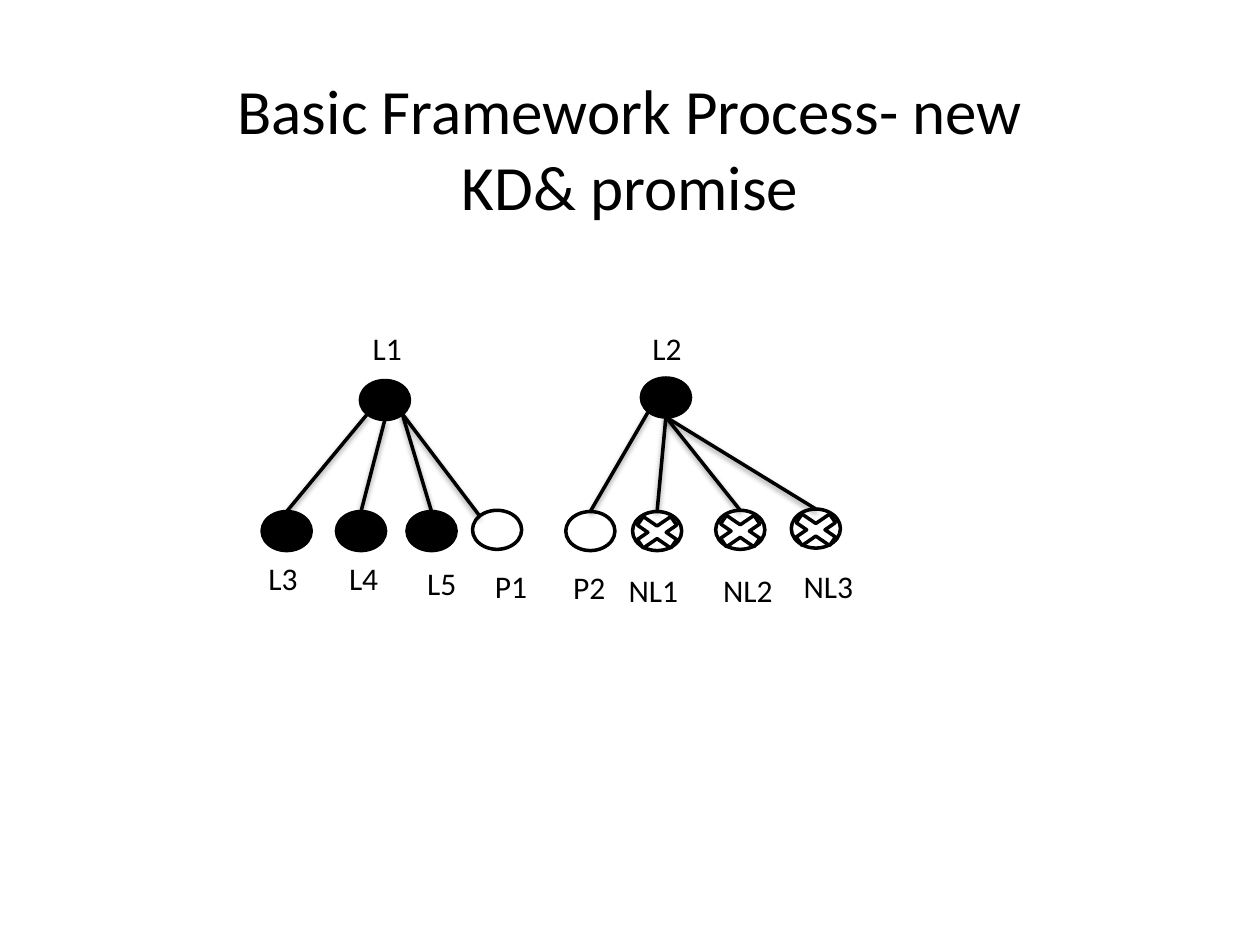
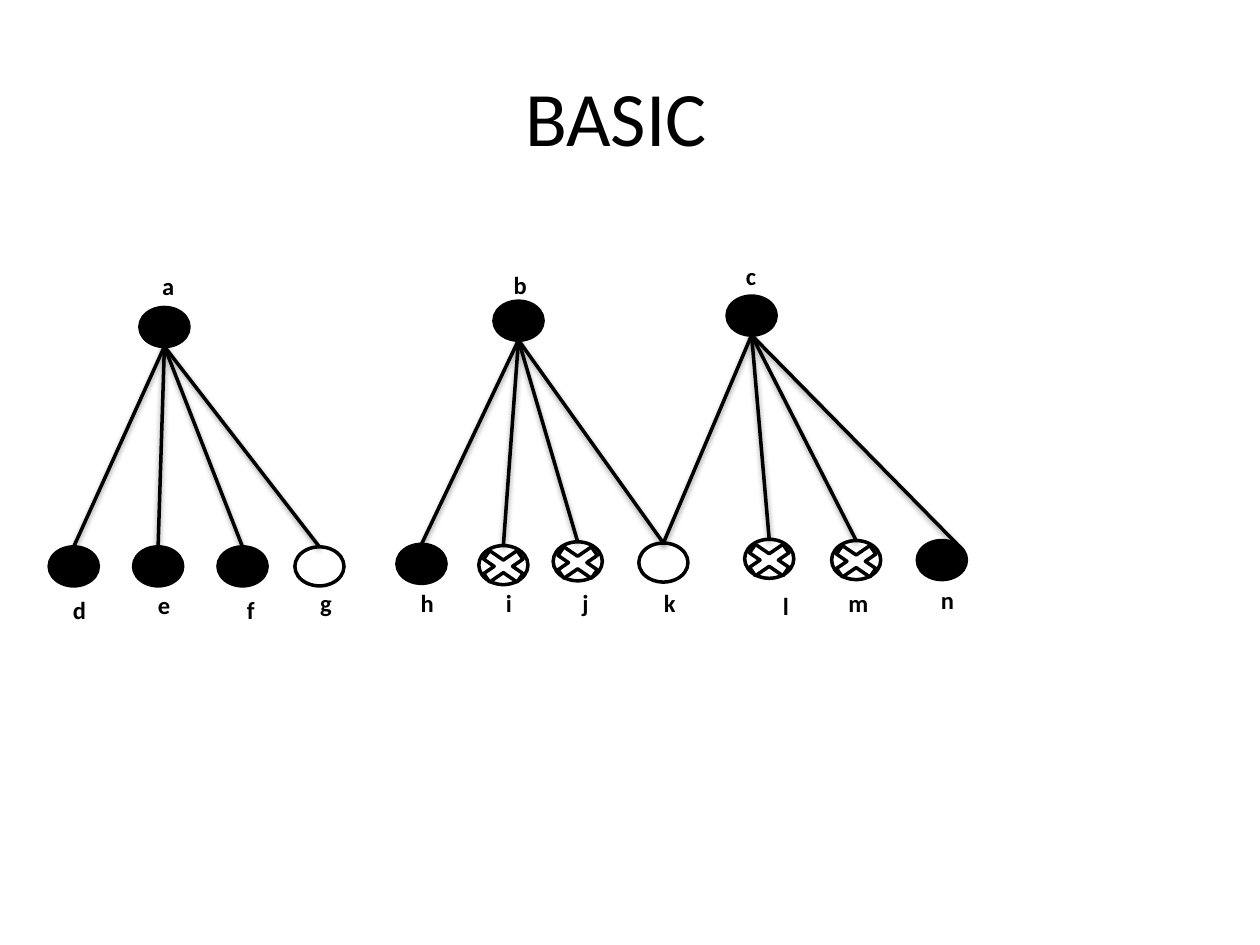
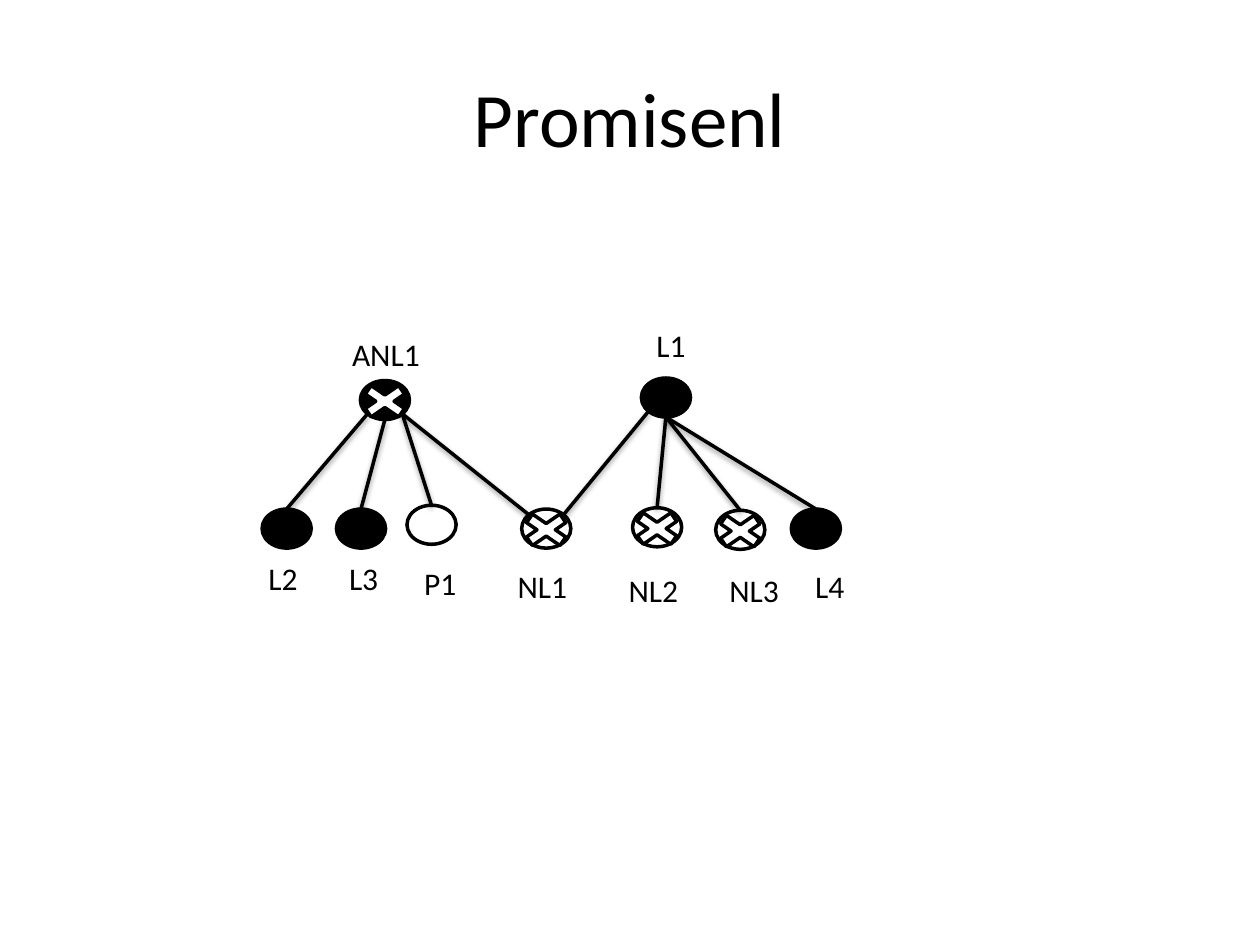
from dataclasses import dataclass
from math import sqrt

from lxml import etree
from pptx import Presentation
from pptx.dml.color import RGBColor
from pptx.enum.shapes import MSO_CONNECTOR, MSO_SHAPE
from pptx.enum.text import MSO_ANCHOR as ANCHOR, PP_ALIGN as ALIGN
from pptx.oxml.ns import qn
from pptx.util import Inches, Pt


@dataclass(frozen=True)
class Theme:
    """Colours, type sizes and shared measures (inches)."""
    font: str = "Calibri"
    black: RGBColor = RGBColor(0, 0, 0)
    white: RGBColor = RGBColor(255, 255, 255)
    title: int = 44
    long_title: int = 36
    label: int = 18
    small_label: int = 14
    line: float = 2
    node_w: float = 0.39
    node_h: float = 0.31
    cross_w: float = 0.51
    cross_h: float = 0.35


T = Theme()
LEFT, RIGHT = ALIGN.LEFT, ALIGN.RIGHT

# Node kinds: (dark circle, with a cross)
FULL, EMPTY, CROSSED, DARK_CROSSED = (1, 0), (0, 0), (0, 1), (1, 1)

# Points on a circle where lines attach, as fractions of its size
NEAR, FAR = (1 - sqrt(0.5)) / 2, (1 + sqrt(0.5)) / 2
TOP, BOTTOM = (0.5, 0), (0.5, 1)
TOP_LEFT, TOP_RIGHT = (NEAR, NEAR), (FAR, NEAR)
BOTTOM_LEFT, BOTTOM_RIGHT = (NEAR, FAR), (FAR, FAR)


@dataclass(frozen=True)
class Node:
    """A circle at x, y in its network; the label is offset from the circle."""
    name: str
    kind: tuple
    x: float
    y: float
    dx: float
    dy: float
    width: float = T.node_w
    align: ALIGN = RIGHT


def add_text(shapes, box, text, size, align, bold=None, anchor=ANCHOR.TOP):
    """Place one paragraph of text in the box."""
    tf = shapes.add_textbox(*map(Inches, box)).text_frame
    tf.word_wrap = True
    tf.vertical_anchor = anchor
    p = tf.paragraphs[0]
    p.text = text
    p.alignment = align
    font = p.runs[0].font
    font.name, font.size, font.bold = T.font, Pt(size), bold
    font.color.rgb = T.black


def add_outlined(shapes, preset, box, fill):
    """Place a preset shape with the shared black outline."""
    sp = shapes.add_shape(preset, *map(Inches, box))
    sp.shadow.inherit = False
    sp.fill.solid()
    sp.fill.fore_color.rgb = fill
    sp.line.color.rgb = T.black
    sp.line.width = Pt(T.line)


def add_node(shapes, left, top, kind):
    """Draw a circle, and its cross if it has one."""
    dark, crossed = kind
    add_outlined(shapes, MSO_SHAPE.OVAL, (left, top, T.node_w, T.node_h),
                 T.black if dark else T.white)
    if crossed:
        box = (left - (T.cross_w - T.node_w) / 2, top - 0.01,
               T.cross_w, T.cross_h)
        add_outlined(shapes, MSO_SHAPE.MATH_MULTIPLY, box, T.white)


def add_edge(shapes, start, end):
    """Draw a line with a soft shadow below it."""
    line = shapes.add_connector(MSO_CONNECTOR.STRAIGHT,
                                *map(Inches, (*start, *end)))
    line.line.color.rgb = T.black
    line.line.width = Pt(T.line)
    effects = etree.SubElement(line._element.spPr, qn("a:effectLst"))
    shadow = etree.SubElement(effects, qn("a:outerShdw"), blurRad="40000",
                              dist="20000", dir="5400000", rotWithShape="0")
    colour = etree.SubElement(shadow, qn("a:srgbClr"), val=str(T.black))
    etree.SubElement(colour, qn("a:alpha"), val="38000")


def add_network(slide, origin, nodes, edges, size, label_h, bold=None):
    """Draw circles, lines and labels as one group, measured from origin."""
    shapes = slide.shapes.add_group_shape().shapes
    left, top = origin
    places = {n.name: (left + n.x, top + n.y) for n in nodes}

    def site(name, at):
        """Return the point on a named circle."""
        x, y = places[name]
        return x + at[0] * T.node_w, y + at[1] * T.node_h

    for n in nodes:
        add_node(shapes, *places[n.name], n.kind)
    for parent, start, child, end in edges:
        add_edge(shapes, site(parent, start), site(child, end))
    for n in nodes:
        x, y = places[n.name]
        add_text(shapes, (x + n.dx, y + n.dy, n.width, label_h),
                 n.name, size, n.align, bold)


def fan(parent, children):
    """Return edges from the bottom of a parent to the tops of its children."""
    return [(parent, BOTTOM, child, TOP) for child in children]


def promise_slide(prs):
    """Two trees, each with a promised node."""
    slide = prs.slides.add_slide(prs.slide_layouts[6])
    add_text(slide.shapes, (1.4, 0.52, 7.2, 1.31),
             "Basic Framework Process- new KD& promise",
             T.long_title, ALIGN.CENTER)
    nodes = [
        Node("L1", FULL, 0.86, 0.52, 0, -0.46, 0.79, LEFT),
        Node("L2", FULL, 3.09, 0.5, -0.01, -0.44, 0.66, LEFT),
        Node("L3", FULL, 0.08, 1.56, -0.41, 0.33, 0.79),
        Node("L4", FULL, 0.67, 1.56, -0.09, 0.33, 0.52),
        Node("L5", FULL, 1.23, 1.56, -0.21, 0.37, 0.7),
        Node("P1", EMPTY, 1.75, 1.55, 0.08, 0.4, 0.7, LEFT),
        Node("P2", EMPTY, 2.49, 1.56, -0.04, 0.4, 0.53, LEFT),
        Node("NL1", CROSSED, 3.02, 1.56, -0.24, 0.42, 0.7),
        Node("NL2", CROSSED, 3.68, 1.55, -0.04, 0.43, 0.7, LEFT),
        Node("NL3", CROSSED, 4.28, 1.54, 0, 0.41, 0.68, LEFT),
    ]
    edges = [
        ("L1", BOTTOM_LEFT, "L3", TOP),
        ("L1", BOTTOM, "L4", TOP),
        ("L1", BOTTOM_RIGHT, "L5", TOP),
        ("L1", BOTTOM_RIGHT, "P1", TOP_LEFT),
        ("L2", BOTTOM_LEFT, "P2", TOP),
        *fan("L2", ["NL1", "NL2", "NL3"]),
    ]
    add_network(slide, (2, 2.5), nodes, edges, T.label, 0.4)


def basic_slide(prs):
    """Three trees, two of them sharing a node."""
    slide = prs.slides.add_slide(prs.slide_layouts[6])
    add_text(slide.shapes, (0.39, 0.29, 9, 1.25), "BASIC", T.title,
             ALIGN.CENTER, anchor=ANCHOR.MIDDLE)
    nodes = [
        Node("a", FULL, 0.72, 0.44, -0.02, -0.34),
        Node("b", FULL, 3.53, 0.39, 0.02, -0.3, 0.34),
        Node("c", FULL, 5.38, 0.35, -0.06, -0.33),
        Node("d", FULL, 0, 2.34, 0, 0.33),
        Node("e", FULL, 0.67, 2.34, 0, 0.29),
        Node("f", FULL, 1.34, 2.34, 0, 0.33),
        Node("g", EMPTY, 1.95, 2.34, 0, 0.28),
        Node("h", FULL, 2.76, 2.32, 0, 0.3),
        Node("i", CROSSED, 3.41, 2.33, -0.03, 0.29),
        Node("j", CROSSED, 4, 2.3, -0.01, 0.32),
        Node("k", EMPTY, 4.68, 2.31, 0, 0.31),
        Node("l", CROSSED, 5.52, 2.28, 0.06, 0.36),
        Node("m", CROSSED, 6.21, 2.29, 0, 0.33),
        Node("n", FULL, 6.89, 2.29, 0, 0.3),
    ]
    edges = [*fan("a", "defg"), *fan("b", "hijk"), *fan("c", "klm"),
             ("c", BOTTOM, "n", TOP_RIGHT)]
    add_network(slide, (0.39, 2), nodes, edges, T.small_label, 0.34, True)


def promisenl_slide(prs):
    """Two trees joined by a shared crossed node."""
    slide = prs.slides.add_slide(prs.slide_layouts[6])
    add_text(slide.shapes, (0.5, 0.3, 9, 1.25), "Promisenl", T.title,
             ALIGN.CENTER, anchor=ANCHOR.MIDDLE)
    nodes = [
        Node("ANL1", DARK_CROSSED, 0.86, 0.52, -0.26, -0.41, 0.83),
        Node("L1", FULL, 3.09, 0.5, -0.34, -0.46, 0.79),
        Node("L2", FULL, 0.08, 1.54, -0.41, 0.35, 0.79),
        Node("L3", FULL, 0.67, 1.54, -0.09, 0.35, 0.52),
        Node("P1", EMPTY, 1.23, 1.51, -0.21, 0.42, 0.7),
        Node("NL1", CROSSED, 2.14, 1.54, -0.24, 0.41, 0.7),
        Node("NL2", CROSSED, 3.02, 1.53, -0.24, 0.45, 0.7),
        Node("NL3", CROSSED, 3.68, 1.55, -0.1, 0.43, 0.7),
        Node("L4", FULL, 4.28, 1.54, 0, 0.41, 0.52),
    ]
    edges = [
        ("ANL1", BOTTOM_LEFT, "L2", TOP),
        ("ANL1", BOTTOM, "L3", TOP),
        ("ANL1", BOTTOM_RIGHT, "P1", TOP),
        ("ANL1", BOTTOM_RIGHT, "NL1", TOP_LEFT),
        ("L1", BOTTOM_LEFT, "NL1", TOP_RIGHT),
        *fan("L1", ["NL2", "NL3", "L4"]),
    ]
    add_network(slide, (2, 2.5), nodes, edges, T.label, 0.4)


prs = Presentation()
prs.slide_width, prs.slide_height = Inches(10), Inches(7.5)
for build in (promise_slide, basic_slide, promisenl_slide):
    build(prs)
prs.save("out.pptx")
